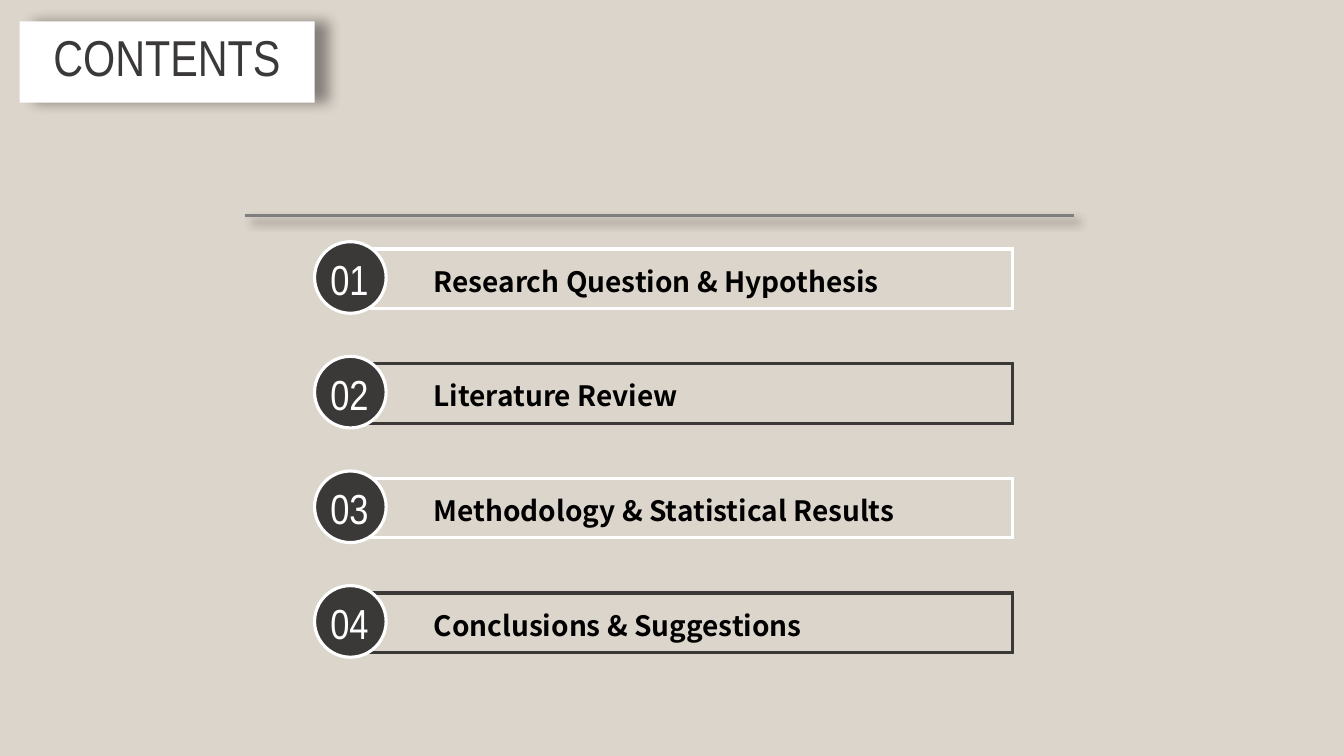
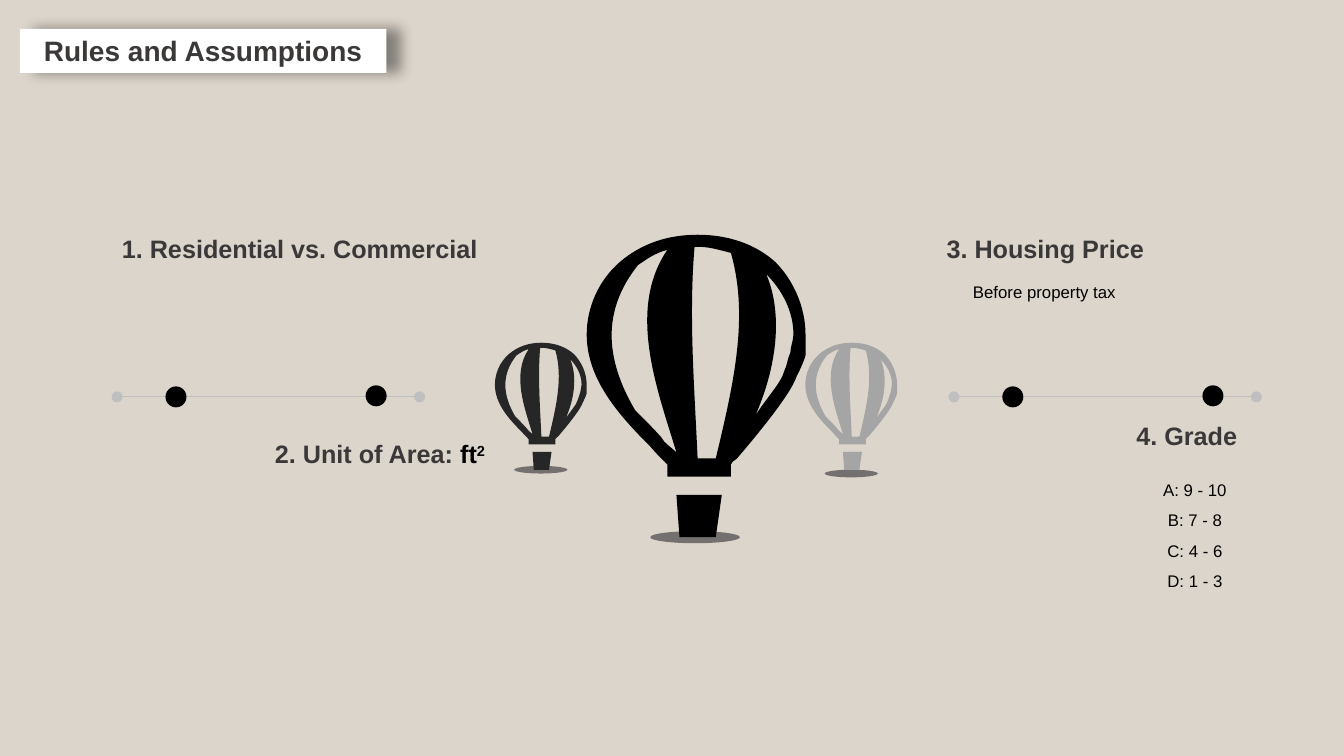
from dataclasses import dataclass

from pptx import Presentation, util as u
from pptx.dml.color import RGBColor
from pptx.enum import shapes, text
from pptx.oxml.ns import qn
from lxml import etree

COLUMNS, ROWS = 64, 36  # square grid cells across and down the slide
CELL = u.Inches(7.5) / ROWS


@dataclass(frozen=True)
class Theme:
    paper: str = "DCD5CB"
    white: str = "FFFFFF"
    black: str = "000000"
    charcoal: str = "3B3838"
    heading: str = "3A3838"
    soot: str = "262626"
    ash: str = "A5A5A5"
    ground: str = "757070"
    rule: str = "7F7F7F"
    track: str = "BFBFBF"
    sans: str = "Arial"
    narrow: str = "Arial Narrow"
    label: str = "Noto Sans CJK SC"
    display: int = 36
    number: int = 30
    item: int = 20
    subhead: int = 18
    body: int = 12
    thick: float = 2.25
    thin: float = 0.75


THEME = Theme()


@dataclass(frozen=True)
class Box:
    """A region measured in grid cells."""
    left: float
    top: float
    width: float
    height: float

    def inset(self, dx, dy, width, height):
        return Box(self.left + dx, self.top + dy, width, height)

    def share(self, x, y, width, height):
        return self.inset(x * self.width, y * self.height,
                          width * self.width, height * self.height)

    def emu(self):
        return [round(n * CELL) for n in (self.left, self.top, self.width, self.height)]


@dataclass(frozen=True)
class Style:
    size: int
    color: str
    font: str = THEME.sans
    bold: bool = False
    raised: bool = False


SUBHEAD = Style(THEME.subhead, THEME.heading, bold=True)
UNIT = Style(THEME.subhead, THEME.black, bold=True)
SQUARED = Style(THEME.subhead, THEME.black, bold=True, raised=True)
BODY = Style(THEME.body, THEME.black)
NUMBER = Style(THEME.number, THEME.white, THEME.narrow)
ITEM = Style(THEME.item, THEME.black, THEME.label, bold=True)

# Balloon outline on a 217 x 300 field: each contour is a start and its steps;
# a step of one point is a straight line, of three points a Bezier curve.
FIELD_WIDTH, FIELD_HEIGHT = 217, 300
BALLOON = [
    # envelope
    [(110, 0), [(140, 0), (167, 9), (187, 27)], [(205, 45), (217, 72), (217, 99)],
     [(217, 108), (217, 114), (217, 120)], [(214, 129), (211, 135), (208, 141)],
     [(202, 159), (167, 201), (149, 222)], [(146, 225), (143, 225), (143, 228)],
     [(143, 240)], [(80, 240)], [(80, 228)], [(74, 222), (68, 216), (63, 210)],
     [(33, 180), (0, 144), (0, 99)], [(0, 72), (12, 45), (33, 27)],
     [(54, 9), (80, 0), (110, 0)]],
    # basket
    [(134, 258), [(128, 300)], [(92, 300)], [(89, 258)]],
    # centre stripe
    [(110, 222), [(128, 222)], [(146, 147), (161, 81), (143, 18)],
     [(131, 15), (122, 12), (110, 12)], [(107, 12)],
     [(101, 81), (107, 153), (110, 222)]],
    # left stripe
    [(51, 30), [(15, 75), (18, 123), (48, 174)], [(57, 183), (66, 192), (74, 201)],
     [(77, 207), (83, 210), (89, 216)], [(71, 156), (39, 75), (80, 15)],
     [(68, 18), (60, 24), (51, 30)]],
    # right stripe
    [(178, 39), [(196, 81), (187, 135), (167, 180)], [(178, 162), (193, 147), (196, 135)],
     [(199, 129), (199, 123), (202, 117)], [(202, 111), (205, 105), (205, 99)],
     [(205, 75), (193, 54), (178, 39)]],
]


def rgb(color):
    return RGBColor.from_string(color)


def set_shadow(shape, blur=0, distance=0, angle=0):
    """Replace the inherited shadow by none, or by a soft black one."""
    effects = etree.SubElement(shape._element.spPr, qn("a:effectLst"))
    if blur:
        outer = etree.SubElement(effects, qn("a:outerShdw"), blurRad=str(u.Pt(blur)),
                                 dist=str(u.Pt(distance)), dir=str(angle * 60000),
                                 rotWithShape="0")
        color = etree.SubElement(outer, qn("a:srgbClr"), val=THEME.black)
        etree.SubElement(color, qn("a:alpha"), val="40000")


def paint(shape, fill=None, line=None, **shadow):
    if fill:
        shape.fill.solid()
        shape.fill.fore_color.rgb = rgb(fill)
    else:
        shape.fill.background()
    if line:
        shape.line.color.rgb = rgb(line)
        shape.line.width = u.Pt(THEME.thick)
        etree.SubElement(shape._element.spPr.find(qn("a:ln")), qn("a:miter"), lim="800000")
    else:
        shape.line.fill.background()
    set_shadow(shape, **shadow)


def add_preset(page, kind, box, **look):
    shape = page.shapes.add_shape(kind, *box.emu())
    paint(shape, **look)
    return shape


def add_ellipse(page, box, **look):
    return add_preset(page, shapes.MSO_SHAPE.OVAL, box, **look)


def add_rule(page, box, color, width, **shadow):
    left, top, length, _ = box.emu()
    rule = page.shapes.add_connector(shapes.MSO_CONNECTOR.STRAIGHT,
                                     left, top, left + length, top)
    rule.line.color.rgb = rgb(color)
    rule.line.width = u.Pt(width)
    set_shadow(rule, **shadow)


def write(shape, lines, align=text.PP_ALIGN.LEFT, spacing=1.0):
    """Fill a shape with lines, each a list of (words, style)."""
    frame = shape.text_frame
    frame.word_wrap = True
    frame.vertical_anchor = text.MSO_ANCHOR.TOP
    for index, line in enumerate(lines):
        para = frame.add_paragraph() if index else frame.paragraphs[0]
        para.alignment, para.line_spacing = align, spacing
        for words, style in line:
            span = para.add_run()
            span.text = words
            span.font.name, span.font.size = style.font, u.Pt(style.size)
            span.font.bold, span.font.color.rgb = style.bold, rgb(style.color)
            if style.raised:
                span._r.get_or_add_rPr().set("baseline", "30000")


def add_text(page, box, lines, **layout):
    write(page.shapes.add_textbox(*box.emu()), lines, **layout)


def add_page(deck):
    page = deck.slides.add_slide(deck.slide_layouts[6])
    page.background.fill.solid()
    page.background.fill.fore_color.rgb = rgb(THEME.paper)
    return page


def add_title(page, box, words, style):
    plate = add_preset(page, shapes.MSO_SHAPE.RECTANGLE, box, fill=THEME.white,
                       blur=10, distance=10)
    write(plate, [[(words, style)]], align=text.PP_ALIGN.CENTER)


def add_contents_item(page, box, number, words, outline):
    disc = box.height
    add_preset(page, shapes.MSO_SHAPE.RECTANGLE,
               box.inset(disc / 2, 0.35, box.width - disc / 2, 2.83), line=outline)
    add_ellipse(page, box.inset(0, 0, disc, disc), fill=THEME.charcoal, line=THEME.white)
    add_text(page, box.inset(0.28, 0.33, 3.75, 2.9), [[(number, NUMBER)]])
    add_text(page, box.inset(5.2, 0.84, 27, 2.1), [[(words, ITEM)]])


def bend(shape, contours):
    """Turn each run of three corners that stands for a curve into one Bezier."""
    corners = shape._element.iter(qn("a:lnTo"))
    corners = iter(list(corners))
    for _, *steps in contours:
        for step in steps:
            first, *others = [next(corners) for _ in step]
            if others:
                first.tag = qn("a:cubicBezTo")
                for corner in others:
                    first.append(corner[0])
                    corner.getparent().remove(corner)


def add_balloon(page, box, color):
    left, top, width, height = box.emu()
    scale = (width / FIELD_WIDTH, height / FIELD_HEIGHT)
    builder = page.shapes.build_freeform(*BALLOON[0][0], scale=scale)
    for index, (start, *steps) in enumerate(BALLOON):
        if index:
            builder.move_to(*start)
        builder.add_line_segments([point for step in steps for point in step], close=True)
    balloon = builder.convert_to_shape(left, top)
    bend(balloon, BALLOON)
    paint(balloon, fill=color)


def add_timeline(page, box):
    add_rule(page, box, THEME.track, THEME.thin)
    for x, y, size, color in ((0, 0, 0.53, THEME.track), (14.4, 0, 0.53, THEME.track),
                              (12.33, -0.05, 1, THEME.black), (2.8, 0, 1, THEME.black)):
        add_ellipse(page, box.inset(x - size / 2, y - size / 2, size, size), fill=color)


def build_contents(deck):
    page = add_page(deck)
    add_title(page, Box(0.93, 1.02, 14.05, 3.87), "CONTENTS",
              Style(THEME.display, THEME.charcoal, THEME.narrow))
    add_rule(page, Box(11.65, 10.25, 39.5, 0), THEME.rule, THEME.thick,
             blur=7, distance=6, angle=45)
    # numbered list with alternating outlines
    items = ["Research Question & Hypothesis", "Literature Review",
             "Methodology & Statistical Results", "Conclusions & Suggestions"]
    first, pitch = Box(14.98, 11.51, 33.22, 3.41), 5.46
    for index, words in enumerate(items):
        add_contents_item(page, first.inset(0, index * pitch, first.width, first.height),
                          f"{index + 1:02}", words, (THEME.white, THEME.charcoal)[index % 2])


def build_rules(deck):
    page = add_page(deck)
    add_title(page, Box(0.95, 1.37, 17.45, 2.1), "Rules and Assumptions",
              Style(THEME.item, THEME.charcoal, bold=True))
    # balloons, each with the shares of its shadow on the ground
    small = Box(23.57, 16.32, 4.37, 6.05)
    balloons = [
        (Box(27.94, 11.18, 10.42, 14.4), THEME.black, (0.29, 0.98, 0.41, 0.04)),
        (small.inset(14.78, 0, small.width, small.height), THEME.ash, (0.21, 1, 0.58, 0.06)),
        (small, THEME.soot, (0.21, 0.97, 0.58, 0.06)),
    ]
    for box, _, ground in balloons:
        add_ellipse(page, box.share(*ground), fill=THEME.ground)
    for box, color, _ in balloons:
        add_balloon(page, box, color)
    # timelines
    for left in (5.58, 45.43):
        add_timeline(page, Box(left, 18.9, 14.5, 0))
    # headings
    for box, spans in (
        (Box(5.33, 10.87, 18.25, 1.92), [("1. Residential vs. Commercial", SUBHEAD)]),
        (Box(12.62, 20.64, 12, 1.92),
         [("2. Unit of Area: ", SUBHEAD), ("ft", UNIT), ("2", SQUARED)]),
        (Box(44.6, 10.87, 10.75, 1.92), [("3. Housing Price", SUBHEAD)]),
        (Box(53.64, 19.78, 10.36, 1.92), [("4. Grade", SUBHEAD)]),
    ):
        add_text(page, box, [spans])
    # details
    add_text(page, Box(45.86, 12.7, 15.55, 3.2), [[("Before property tax", BODY)]], spacing=1.5)
    grades = ["A: 9 - 10", "B: 7 - 8", "C: 4 - 6", "D: 1 - 3"]
    add_text(page, Box(53.28, 22.13, 7.25, 5.95), [[(grade, BODY)] for grade in grades],
             align=text.PP_ALIGN.CENTER, spacing=1.5)


def main():
    deck = Presentation()
    deck.slide_width, deck.slide_height = round(COLUMNS * CELL), round(ROWS * CELL)
    build_contents(deck)
    build_rules(deck)
    deck.save("out.pptx")


if __name__ == "__main__":
    main()
